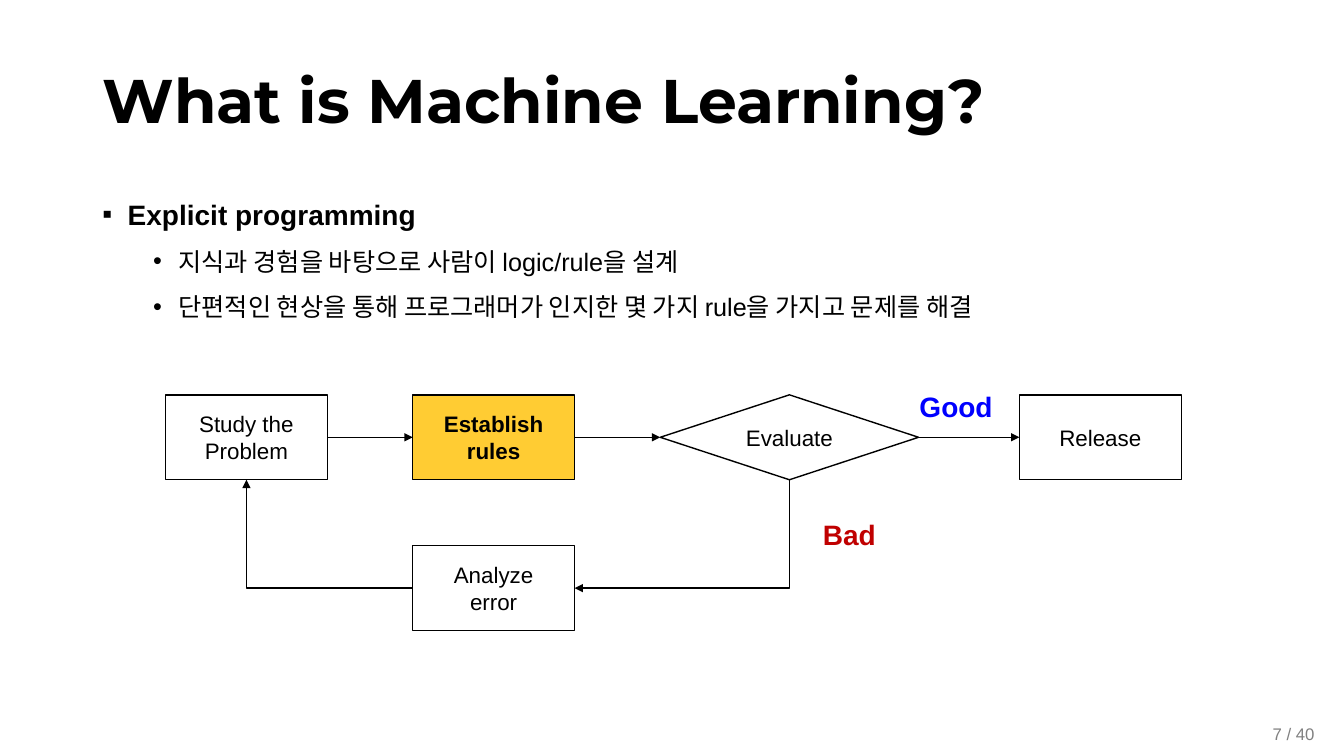
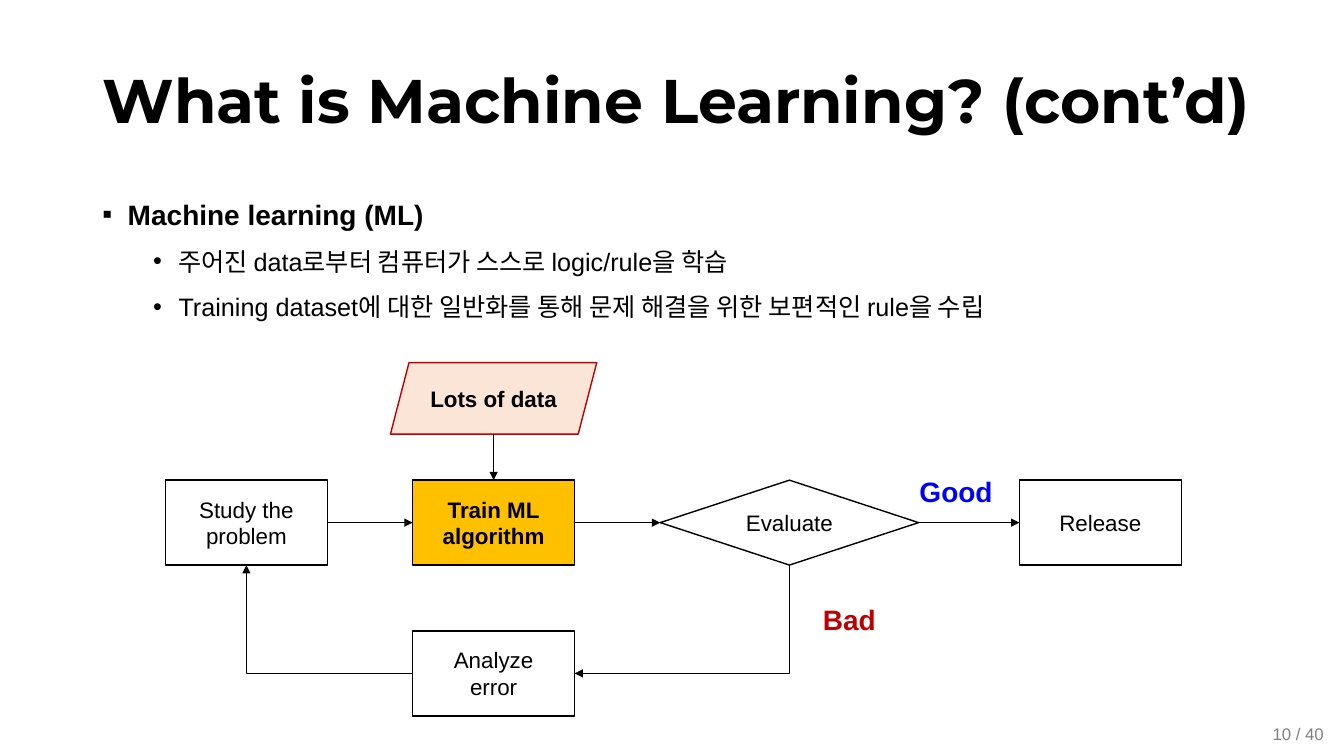
from dataclasses import dataclass

from lxml import etree
from pptx import Presentation
from pptx.dml.color import RGBColor
from pptx.enum.shapes import MSO_CONNECTOR, MSO_SHAPE
from pptx.enum.text import MSO_ANCHOR, MSO_AUTO_SIZE, PP_ALIGN
from pptx.oxml.ns import qn
from pptx.shapes.autoshape import Shape
from pptx.shapes.connector import Connector
from pptx.slide import Slide
from pptx.text.text import TextFrame
from pptx.util import Cm, Pt

RECT = MSO_SHAPE.RECTANGLE
DIAMOND = MSO_SHAPE.DIAMOND
SLANT = MSO_SHAPE.PARALLELOGRAM
LINE = MSO_CONNECTOR.STRAIGHT
ELBOW = MSO_CONNECTOR.ELBOW
LEFT, CENTER = PP_ALIGN.LEFT, PP_ALIGN.CENTER
MIDDLE = MSO_ANCHOR.MIDDLE
NO_FIT = MSO_AUTO_SIZE.NONE

COLORS = {
    "black": "000000",
    "white": "FFFFFF",
    "gray": "808080",
    "amber": "FFCC33",
    "gold": "FFC000",
    "peach": "FBE5D6",
    "red": "C00000",
    "blue": "0000FF",
}

BOX_W, BOX_H = 4.08, 2.14
EVAL_W = 6.51
STUDY_X, RULE_X, EVAL_X, DONE_X = 4.17, 10.4, 16.64, 25.69
DROP = 3.8
TOP, LEFT_SITE, BASE, RIGHT = range(4)
INDENT = 0.64


@dataclass
class Node:
    text: str
    x: float
    y: float
    w: float = BOX_W
    h: float = BOX_H
    kind: MSO_SHAPE = RECT
    fill: str = "white"
    line: str = "black"
    bold: bool = False


@dataclass
class Label:
    text: str
    x: float
    dy: float
    color: str


@dataclass
class Page:
    title: str
    points: list[str]
    number: str
    row: float
    study: str
    rule: str
    fill: str
    data: str = ""


LABELS = [Label("Good", 22.76, -0.79, "blue"), Label("Bad", 20.07, 2.44, "red")]

PAGES = [
    Page(
        "What is Machine Learning?",
        [
            "Explicit programming",
            "지식과 경험을 바탕으로 사람이 logic/rule을 설계",
            "단편적인 현상을 통해 프로그래머가 인지한 몇 가지 rule을 가지고 문제를 해결",
        ],
        "7 / 40", 9.95, "Study the\nProblem", "Establish\nrules", "amber",
    ),
    Page(
        "What is Machine Learning? (cont’d)",
        [
            "Machine learning (ML)",
            "주어진 data로부터 컴퓨터가 스스로 logic/rule을 학습",
            "Training dataset에 대한 일반화를 통해 문제 해결을 위한 보편적인 rule을 수립",
        ],
        "10 / 40", 12.1, "Study the\nproblem", "Train ML\nalgorithm", "gold",
        "Lots of data",
    ),
]


def color(name: str) -> RGBColor:
    return RGBColor.from_string(COLORS[name])


def style(frame: TextFrame, size: float, tint: str = "black", bold: bool = False,
          align: PP_ALIGN = LEFT, face: str = "Arial") -> None:
    for para in frame.paragraphs:
        para.alignment = align
        for run in para.runs:
            run.font.name = face
            run.font.size = Pt(size)
            run.font.bold = bold
            run.font.color.rgb = color(tint)


def add_text(slide: Slide, text: str, x: float, y: float, w: float, h: float,
             wrap: bool = True) -> TextFrame:
    frame = slide.shapes.add_textbox(Cm(x), Cm(y), Cm(w), Cm(h)).text_frame
    frame.word_wrap = wrap
    frame.text = text
    return frame


def add_title(slide: Slide, text: str) -> None:
    title = slide.shapes.title
    title.left, title.top = Cm(2.33), Cm(0.76)
    title.width, title.height = Cm(30.04), Cm(3.68)
    frame = title.text_frame
    frame.text = text
    frame.auto_size = NO_FIT
    frame.vertical_anchor = MIDDLE
    frame.paragraphs[0].line_spacing = 0.9
    style(frame, 44, bold=True, face="Montserrat")


def add_points(slide: Slide, points: list[str]) -> None:
    frame = add_text(slide, "\n".join(points), 2.33, 4.42, 29.21, 13.59)
    style(frame, 18)
    for rank, para in enumerate(frame.paragraphs):
        head = rank == 0
        para.level = 0 if head else 1
        para.line_spacing = 1.5
        props = para._p.get_or_add_pPr()
        props.set("marL", str(Cm(INDENT if head else 3 * INDENT)))
        props.set("indent", str(-Cm(INDENT)))
        font = etree.SubElement(props, qn("a:buFont"))
        font.set("typeface", "Arial")
        mark = etree.SubElement(props, qn("a:buChar"))
        mark.set("char", "▪" if head else "•")
    lead = frame.paragraphs[0].runs[0].font
    lead.size, lead.bold = Pt(20), True


def add_node(slide: Slide, node: Node) -> Shape:
    shape = slide.shapes.add_shape(
        node.kind, Cm(node.x), Cm(node.y), Cm(node.w), Cm(node.h))
    shape.shadow.inherit = False
    shape.fill.solid()
    shape.fill.fore_color.rgb = color(node.fill)
    shape.line.color.rgb = color(node.line)
    shape.line.width = Pt(1)
    frame = shape.text_frame
    frame.word_wrap = True
    frame.text = node.text
    frame.vertical_anchor = MIDDLE
    style(frame, 16, bold=node.bold, align=CENTER)
    return shape


def add_link(slide: Slide, start: Shape, out: int, end: Shape, into: int,
             kind: MSO_CONNECTOR = LINE) -> Connector:
    link = slide.shapes.add_connector(kind, 0, 0, 0, 0)
    if start.auto_shape_type == SLANT:
        link.begin_x = start.left + start.width // 2
        link.begin_y = start.top + start.height
    else:
        link.begin_connect(start, out)
    link.end_connect(end, into)
    link.line.color.rgb = color("black")
    link.line.width = Pt(1)
    props = link._element.spPr
    tail = etree.SubElement(props.find(qn("a:ln")), qn("a:tailEnd"))
    tail.set("type", "triangle")
    etree.SubElement(props, qn("a:effectLst"))
    return link


def add_bend(slide: Slide, start: Shape, out: int, end: Shape, into: int,
             turn: int) -> None:
    link = add_link(slide, start, out, end, into, ELBOW)
    props = link._element.spPr
    props.find(qn("a:prstGeom")).set("prst", "bentConnector2")
    frame = props.find(qn("a:xfrm"))
    for flip in ("flipH", "flipV"):
        frame.attrib.pop(flip, None)
    frame.set("rot", str(turn * 60000))
    if turn == 90:
        wide, high = link.width, link.height
        link.left += (wide - high) // 2
        link.top += (high - wide) // 2
        link.width, link.height = high, wide


def add_flow(slide: Slide, page: Page) -> None:
    row = page.row
    study = add_node(slide, Node(page.study, STUDY_X, row))
    rule = add_node(slide, Node(page.rule, RULE_X, row, fill=page.fill, bold=True))
    check = add_node(slide, Node("Evaluate", EVAL_X, row, EVAL_W, kind=DIAMOND))
    done = add_node(slide, Node("Release", DONE_X, row))
    error = add_node(slide, Node("Analyze\nerror", RULE_X, row + DROP))
    chain = [study, rule, check, done]
    for start, end in zip(chain, chain[1:]):
        add_link(slide, start, RIGHT, end, LEFT_SITE)
    add_bend(slide, check, BASE, error, RIGHT, 90)
    add_bend(slide, error, LEFT_SITE, study, BASE, 180)
    for label in LABELS:
        frame = add_text(slide, label.text, label.x, row + label.dy, 2.67, BOX_H)
        frame.vertical_anchor = MIDDLE
        style(frame, 20, label.color, True, CENTER)
    if page.data:
        wide = 5.2
        data = add_node(slide, Node(
            page.data, RULE_X + (BOX_W - wide) / 2, 9.14, wide, 1.8,
            SLANT, "peach", "red", True))
        data.adjustments[0] = 0.26
        add_link(slide, data, BASE, rule, TOP)


def main() -> None:
    deck = Presentation()
    deck.slide_width, deck.slide_height = Cm(33.87), Cm(19.05)
    for page in PAGES:
        slide = deck.slides.add_slide(deck.slide_layouts[5])
        add_title(slide, page.title)
        add_points(slide, page.points)
        add_flow(slide, page)
        foot = add_text(slide, page.number, 31.82, 18.1, 1.85, 0.77, False)
        style(foot, 12, "gray")
    deck.save("out.pptx")


if __name__ == "__main__":
    main()
